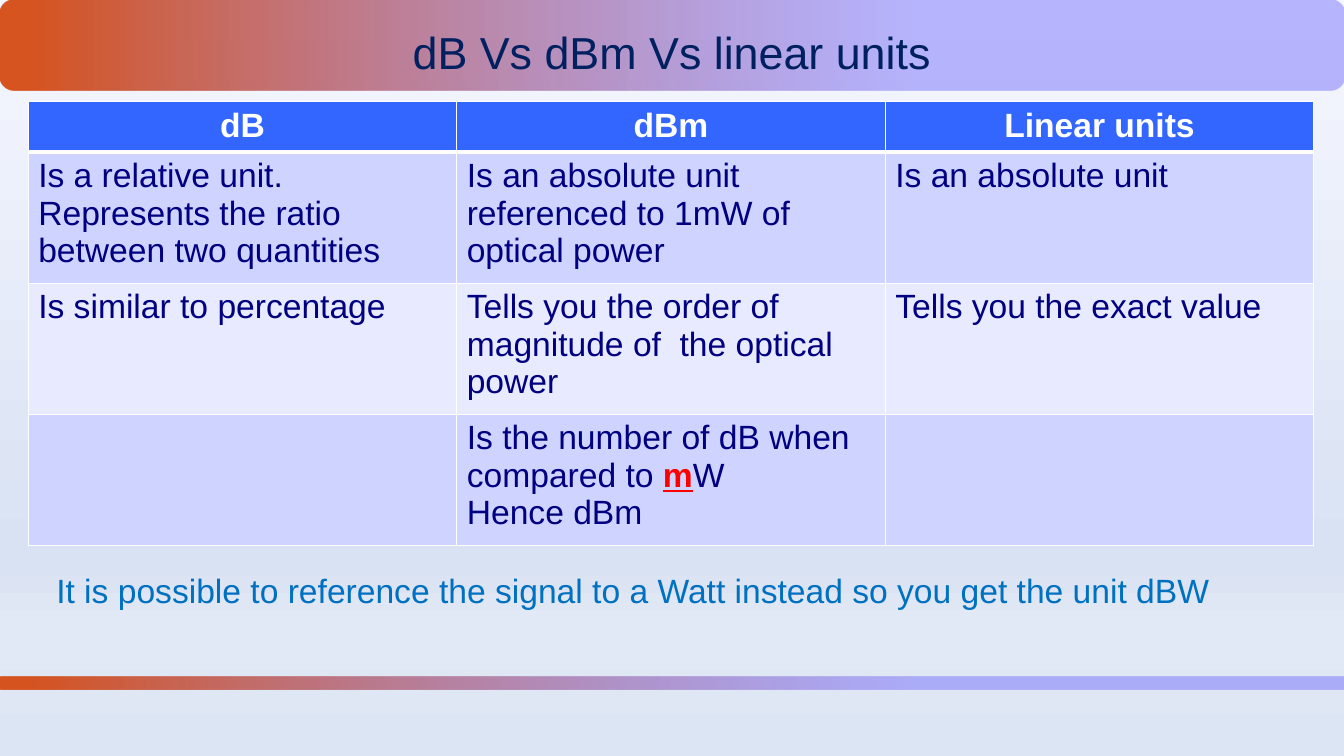
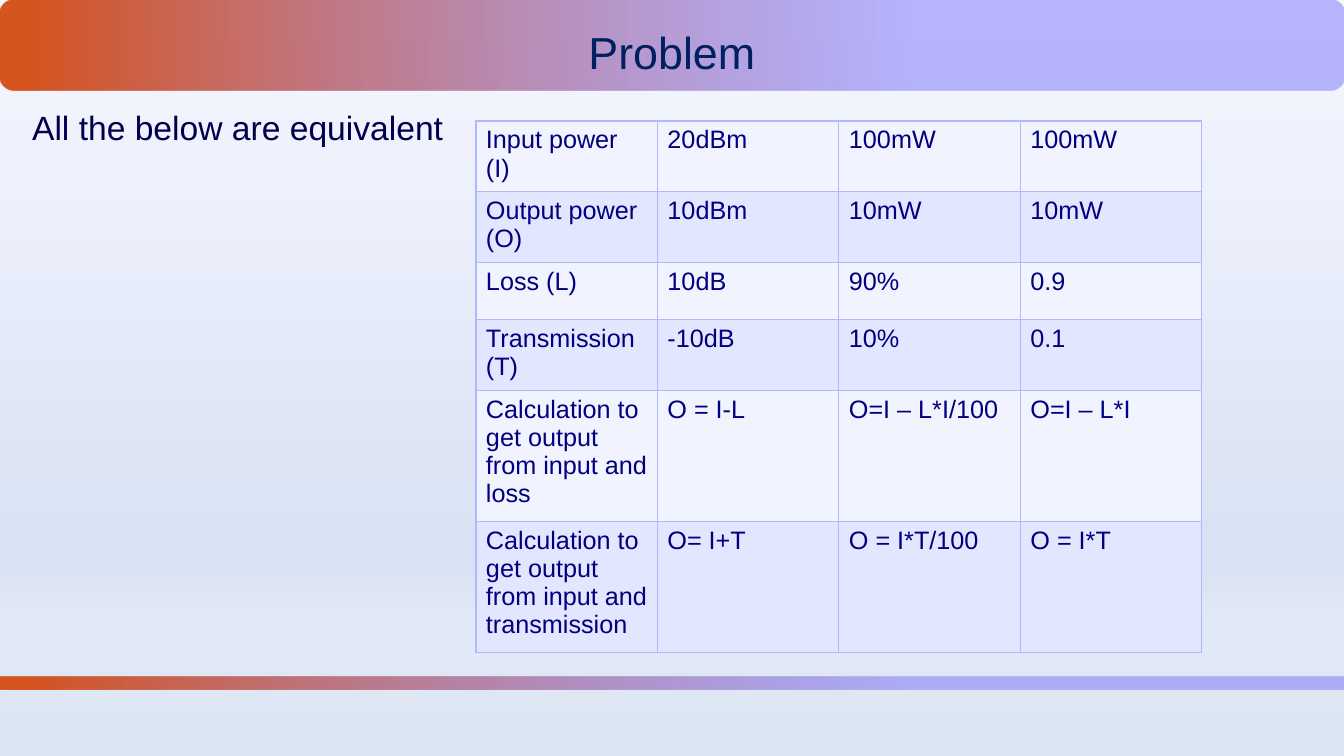
from lxml import etree
from pptx import Presentation
from pptx.dml.color import RGBColor
from pptx.enum import shapes, text
from pptx.oxml.ns import qn
from pptx.util import Inches, Pt

FONT = "Arial"
WIDTH, HEIGHT = 13.33, 7.5
NAVY, TITLE_COLOR = "000080", "002060"

# Gradient stops: position in percent, colour, opacity in percent
PAGE_STOPS = [(0, "F5F7FF", 100), (74, "D9E2F3", 100), (83, "E2E9F6", 100), (100, "DCE5F4", 47)]
BAND_STOPS = [(2, "D65420", 100), (68, "7B75FB", 51)]
BANDS = [(0, 0.9), (6.71, 0.13)]  # top, height

RED_UNIT = {"color": "FF0000", "bold": True, "underline": True}

SLIDES = [
    {
        "title": "dB Vs dBm Vs linear units",
        "note": {
            "words": "It is possible to reference the signal to a Watt instead so you get the unit dBW",
            "box": (0.46, 5.6, 12.35, 0.5),
            "color": "0070C0",
        },
        "table": {
            "left_top": (0.28, 1.01),
            "column_width": 4.25,
            "row_heights": [0.47, 1.21, 1.21, 1.21],
            "size": 24,
            "border": "FFFFFF",
            "header_fill": "3366FF",
            "band_fills": ["E8EAFF", "CED3FF"],
            "rows": [
                ["dB", "dBm", "Linear units"],
                ["Is a relative unit. Represents the ratio between two quantities",
                 "Is an absolute unit referenced to 1mW of optical power",
                 "Is an absolute unit"],
                ["Is similar to percentage",
                 "Tells you the order of magnitude of  the optical power",
                 "Tells you the exact value"],
                ["",
                 [[("Is the number of dB when compared to ", {}), ("m", RED_UNIT), ("W", {})],
                  [("Hence dBm", {})]],
                 ""],
            ],
        },
    },
    {
        "title": "Problem",
        "note": {
            "words": "All the below are equivalent",
            "box": (0.22, 1.01, 11.61, 0.5),
            "color": "00004C",
        },
        "table": {
            "left_top": (4.72, 1.2),
            "column_width": 1.8,
            "row_heights": [0.7, 0.7, 0.57, 0.7, 1.3, 1.3],
            "size": 18,
            "border": "ADB8FF",
            "header_fill": None,
            "band_fills": ["F1F3FF", "E3E6FF"],
            "rows": [
                ["Input power (I)", "20dBm", "100mW", "100mW"],
                ["Output power (O)", "10dBm", "10mW", "10mW"],
                ["Loss (L)", "10dB", "90%", "0.9"],
                ["Transmission (T)", "-10dB", "10%", "0.1"],
                ["Calculation to get output from input and loss",
                 "O = I-L", "O=I – L*I/100", "O=I – L*I"],
                ["Calculation to get output from input and transmission",
                 "O= I+T", "O = I*T/100", "O = I*T"],
            ],
        },
    },
]


def rgb(hex_color):
    return RGBColor.from_string(hex_color)


def write(frame, content, size, color, bold=False, underline=False, align=text.PP_ALIGN.LEFT):
    """Fill a text frame from a string, or from paragraphs of (words, format changes)."""
    frame.word_wrap = True
    paragraphs = [[(content, {})]] if isinstance(content, str) else content
    for index, runs in enumerate(paragraphs):
        paragraph = frame.add_paragraph() if index else frame.paragraphs[0]
        paragraph.alignment = align
        paragraph.font.size = Pt(size)
        for words, changes in runs:
            if not words:
                continue
            look = {"color": color, "bold": bold, "underline": underline, **changes}
            run = paragraph.add_run()
            run.text = words
            run.font.name = FONT
            run.font.size = Pt(size)
            run.font.bold = look["bold"]
            run.font.underline = look["underline"]
            run.font.color.rgb = rgb(look["color"])


def set_gradient(owner, fill, stops, angle):
    fill.gradient()
    gradient = owner.element.find(".//" + qn("a:gradFill"))
    stop_list = gradient.find(qn("a:gsLst"))
    for stop in list(stop_list):
        stop_list.remove(stop)
    for position, color, opacity in stops:
        stop = etree.SubElement(stop_list, qn("a:gs"), pos=str(position * 1000))
        tint = etree.SubElement(stop, qn("a:srgbClr"), val=color)
        if opacity < 100:
            etree.SubElement(tint, qn("a:alpha"), val=str(opacity * 1000))
    gradient.find(qn("a:lin")).set("ang", str(angle * 60000))


def add_text(slide, words, box, **look):
    write(slide.shapes.add_textbox(*map(Inches, box)).text_frame, words, **look)


def add_frame(slide, title):
    """Add the coloured bands and the title that every slide has."""
    for top, height in BANDS:
        band = slide.shapes.add_shape(
            shapes.MSO_SHAPE.ROUNDED_RECTANGLE, 0, Inches(top), Inches(WIDTH), Inches(height))
        band.shadow.inherit = False
        band.line.fill.background()
        set_gradient(band, band.fill, BAND_STOPS, 0)
    add_text(slide, title, (0, 0.2, WIDTH, 0.46), size=32, color=TITLE_COLOR,
             align=text.PP_ALIGN.CENTER)


def set_borders(cell, color, **widths):
    """Draw 1 pt borders, save for the edges (L, R, T, B) given another width."""
    properties = cell._tc.get_or_add_tcPr()
    for edge in "LRTB":
        line = etree.SubElement(properties, qn("a:ln" + edge), w=str(Pt(widths.get(edge, 1))))
        fill = etree.SubElement(line, qn("a:solidFill"))
        etree.SubElement(fill, qn("a:srgbClr"), val=color)


def add_table(slide, data):
    rows, heights = data["rows"], data["row_heights"]
    column_count = len(rows[0])
    left, top = data["left_top"]
    table = slide.shapes.add_table(
        len(rows), column_count, Inches(left), Inches(top),
        Inches(data["column_width"] * column_count), Inches(sum(heights))).table
    table.first_row = table.horz_banding = False
    for column in table.columns:
        column.width = Inches(data["column_width"])
    for row_index, (row, height) in enumerate(zip(rows, heights)):
        table.rows[row_index].height = Inches(height)
        is_header = row_index == 0 and data["header_fill"] is not None
        widths = {}
        if data["header_fill"] and row_index < 2:
            widths = {"B": 3} if is_header else {"T": 3}
        fill = data["header_fill"] if is_header else data["band_fills"][row_index % 2]
        for column_index, content in enumerate(row):
            cell = table.cell(row_index, column_index)
            set_borders(cell, data["border"], **widths)
            cell.fill.solid()
            cell.fill.fore_color.rgb = rgb(fill)
            write(cell.text_frame, content, size=data["size"],
                  color="FFFFFF" if is_header else NAVY, bold=is_header,
                  align=text.PP_ALIGN.CENTER if is_header else text.PP_ALIGN.LEFT)


def main():
    presentation = Presentation()
    presentation.slide_width, presentation.slide_height = Inches(WIDTH), Inches(HEIGHT)
    master = presentation.slide_master
    set_gradient(master, master.background.fill, PAGE_STOPS, 90)
    for content in SLIDES:
        slide = presentation.slides.add_slide(presentation.slide_layouts[6])
        add_frame(slide, content["title"])
        note = content["note"]
        add_text(slide, note["words"], note["box"], size=24, color=note["color"])
        add_table(slide, content["table"])
    presentation.save("out.pptx")


if __name__ == "__main__":
    main()
